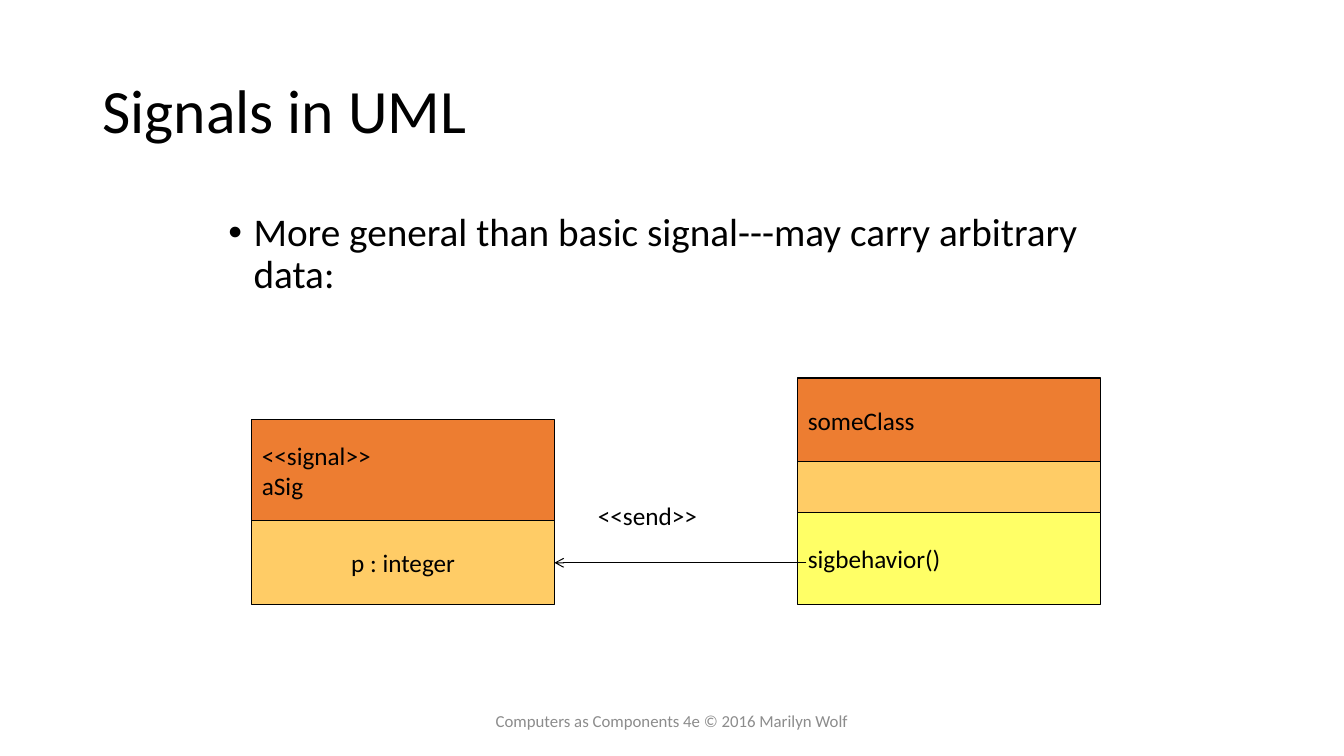
from dataclasses import dataclass

from lxml.etree import SubElement
from pptx import Presentation
from pptx.dml.color import RGBColor as RGB
from pptx.enum.shapes import MSO_CONNECTOR as CONNECTOR, MSO_SHAPE as SHAPE
from pptx.enum.text import MSO_ANCHOR as ANCHOR, MSO_AUTO_SIZE as AUTO, PP_ALIGN as ALIGN
from pptx.oxml.ns import qn
from pptx.util import Pt


@dataclass(frozen=True)
class Theme:
    font: str = "Calibri"
    ink: RGB = RGB(0, 0, 0)
    muted: RGB = RGB(0x8C, 0x8C, 0x8C)
    name_fill: RGB = RGB(0xED, 0x7D, 0x31)
    attribute_fill: RGB = RGB(0xFF, 0xCC, 0x66)
    behavior_fill: RGB = RGB(0xFF, 0xFF, 0x66)
    title: int = 44
    body: int = 28
    label: int = 18
    footer: int = 12
    line: float = 0.75


T = Theme()


def write(tf, lines, size, color=T.ink, align=ALIGN.LEFT, spacing=1.0):
    for i, line in enumerate(lines):
        p = tf.add_paragraph() if i else tf.paragraphs[0]
        p.alignment = align
        p.line_spacing = spacing
        p.space_before = Pt(0)
        r = p.add_run()
        r.text = line
        r.font.name = T.font
        r.font.size = Pt(size)
        r.font.color.rgb = color


def fill_placeholder(sp, box, text, size, anchor):
    sp.left, sp.top, sp.width, sp.height = map(Pt, box)
    tf = sp.text_frame
    tf.auto_size = AUTO.NONE
    tf.word_wrap = True
    tf.vertical_anchor = anchor
    write(tf, [text], size, spacing=0.9)
    return tf.paragraphs[0]


def add_bullet(p, indent):
    pPr = p._p.get_or_add_pPr()
    pPr.set("marL", str(Pt(indent)))
    pPr.set("indent", str(-Pt(indent)))
    SubElement(pPr, qn("a:buFont")).set("typeface", "Arial")
    SubElement(pPr, qn("a:buChar")).set("char", "•")


def add_label(s, box, text, size, color=T.ink, align=ALIGN.LEFT, anchor=ANCHOR.TOP, wrap=True):
    tf = s.shapes.add_textbox(*map(Pt, box)).text_frame
    tf.word_wrap = wrap
    tf.vertical_anchor = anchor
    write(tf, [text], size, color, align)


def add_class_box(s, left, top, width, compartments):
    for height, fill, lines, align in compartments:
        sp = s.shapes.add_shape(SHAPE.RECTANGLE, Pt(left), Pt(top), Pt(width), Pt(height))
        sp.shadow.inherit = False
        sp.fill.solid()
        sp.fill.fore_color.rgb = fill
        sp.line.color.rgb = T.ink
        sp.line.width = Pt(T.line)
        tf = sp.text_frame
        tf.word_wrap = False
        tf.vertical_anchor = ANCHOR.MIDDLE
        write(tf, lines, T.label, align=align)
        top += height


def add_arrow(s, start, end):
    c = s.shapes.add_connector(CONNECTOR.STRAIGHT, *map(Pt, start + end))
    c.line.color.rgb = T.ink
    c.line.width = Pt(T.line)
    SubElement(c.line._get_or_add_ln(), qn("a:tailEnd")).set("type", "arrow")
    SubElement(c._element.spPr, qn("a:effectLst"))


def main():
    prs = Presentation()
    prs.slide_width, prs.slide_height = Pt(960), Pt(540)
    s = prs.slides.add_slide(prs.slide_layouts[1])

    fill_placeholder(s.shapes.title, (66, 28.8, 828, 104.4),
                     "Signals in UML", T.title, ANCHOR.MIDDLE)
    p = fill_placeholder(s.placeholders[1], (156, 148.3, 643.7, 85.7),
                         "More general than basic signal---may carry arbitrary data:",
                         T.body, ANCHOR.TOP)
    add_bullet(p, 18)

    add_class_box(s, 180, 300, 216, [
        (72, T.name_fill, ["<<signal>>", "aSig"], ALIGN.LEFT),
        (60, T.attribute_fill, ["p : integer"], ALIGN.CENTER),
    ])
    add_class_box(s, 570, 270, 216, [
        (60, T.name_fill, ["someClass"], ALIGN.LEFT),
        (36, T.attribute_fill, [], ALIGN.LEFT),
        (66, T.behavior_fill, ["sigbehavior()"], ALIGN.LEFT),
    ])
    add_arrow(s, (576, 402), (396, 402))
    add_label(s, (420, 354, 86.4, 28.8), "<<send>>", T.label, wrap=False)
    add_label(s, (318, 500.4, 324, 28.8), "Computers as Components 4e © 2016 Marilyn Wolf",
              T.footer, T.muted, ALIGN.CENTER, ANCHOR.MIDDLE)
    prs.save("out.pptx")


if __name__ == "__main__":
    main()
